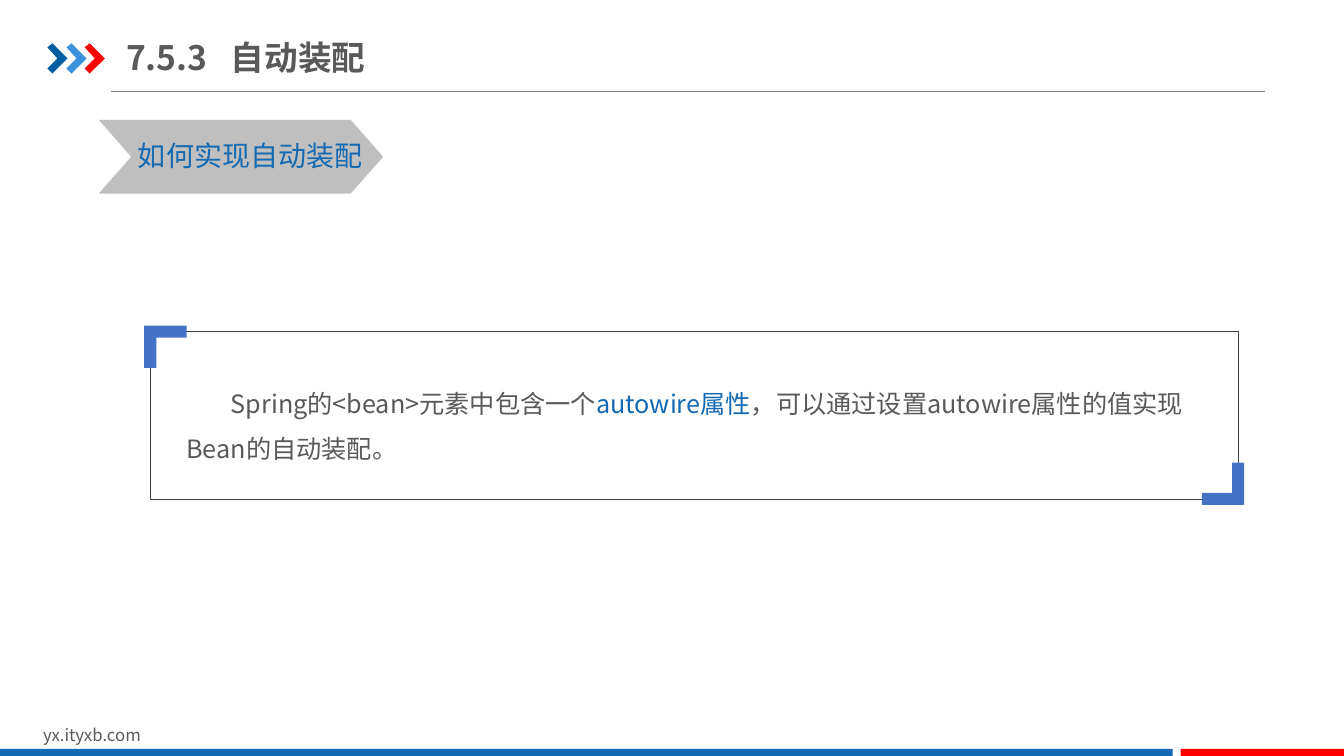
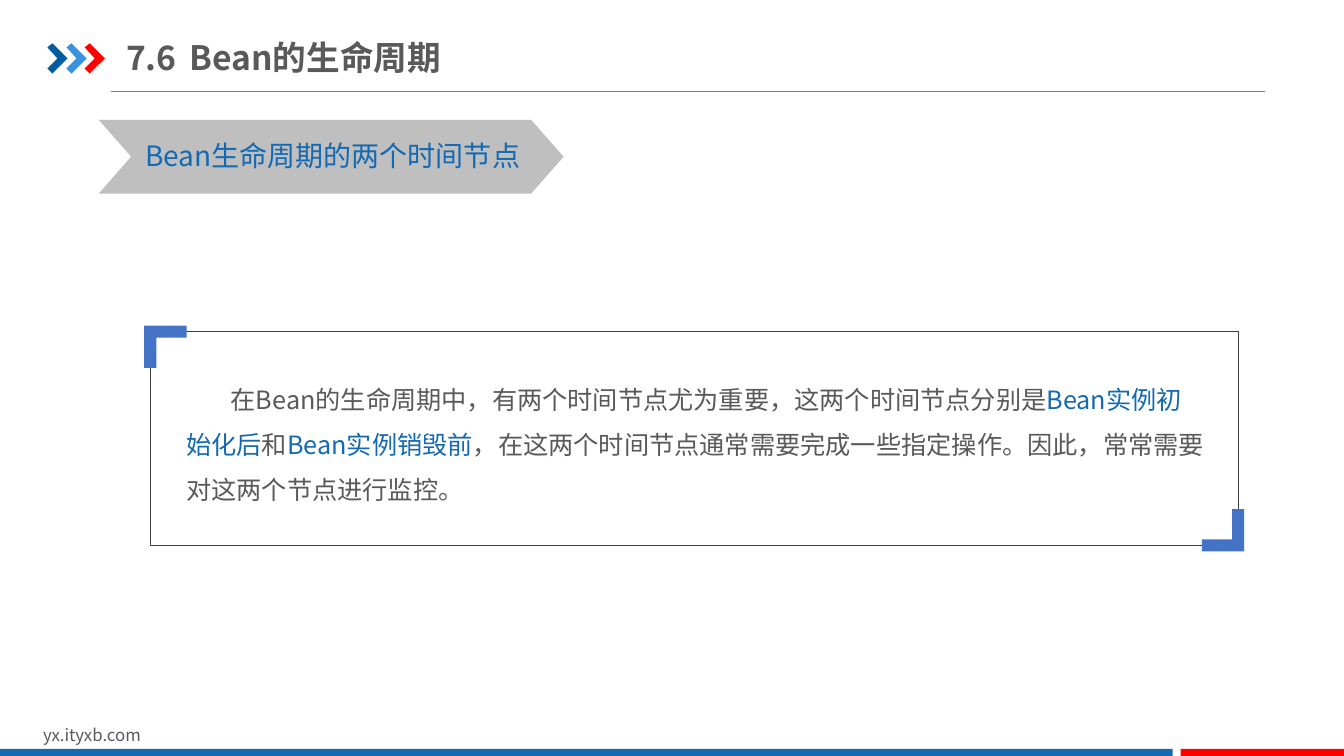
from lxml import etree
from pptx import Presentation
from pptx.dml.color import RGBColor
from pptx.enum.shapes import MSO_CONNECTOR, MSO_SHAPE
from pptx.enum.text import MSO_ANCHOR, MSO_AUTO_SIZE, PP_ALIGN
from pptx.oxml.ns import qn
from pptx.util import Inches, Pt

LEFT = PP_ALIGN.LEFT
TOP, MIDDLE = MSO_ANCHOR.TOP, MSO_ANCHOR.MIDDLE
FIXED = MSO_AUTO_SIZE.NONE
RECT, CHEVRON, CORNER = MSO_SHAPE.RECTANGLE, MSO_SHAPE.CHEVRON, MSO_SHAPE.CORNER
STRAIGHT = MSO_CONNECTOR.STRAIGHT

FONT = "Noto Sans CJK SC"
COLORS = {
    "text": "595959", "blue": "1369B2", "red": "FF0000", "navy": "005DA2",
    "sky": "3992DB", "tag": "BFBFBF", "corner": "4472C4", "rule": "808080",
    "frame": "404040",
}


def write(shape, parts, size, color="text", bold=False, wrap=True, anchor=TOP,
          inset=(0.1, 0.05), spacing=1.0, indent=0, tab=0):
    """Fill a shape with one paragraph; every second part is highlighted in blue."""
    frame = shape.text_frame
    frame.auto_size, frame.word_wrap = FIXED, wrap
    frame.vertical_anchor = anchor
    frame.margin_left = frame.margin_right = Inches(inset[0])
    frame.margin_top = frame.margin_bottom = Inches(inset[1])
    para = frame.paragraphs[0]
    para.alignment, para.line_spacing = LEFT, spacing
    props = para._p.get_or_add_pPr()
    if indent:
        props.set("indent", str(Inches(indent)))
    if tab:
        stops = etree.SubElement(props, qn("a:tabLst"))
        etree.SubElement(stops, qn("a:tab"), pos=str(Inches(tab)), algn="l")
    for i, part in enumerate(parts):
        run = para.add_run()
        run.text = part
        font = run.font
        font.name, font.size, font.bold = FONT, Pt(size), bold
        font.color.rgb = RGBColor.from_string(COLORS["blue" if i % 2 else color])
        etree.SubElement(run._r.get_or_add_rPr(), qn("a:ea"), typeface=FONT)


def paint(shape, fill=None, line=None):
    shape.shadow.inherit = False
    if fill:
        shape.fill.solid()
        shape.fill.fore_color.rgb = RGBColor.from_string(COLORS[fill])
    else:
        shape.fill.background()
    if line:
        shape.line.color.rgb = RGBColor.from_string(COLORS[line])
        shape.line.width = Pt(0.25)
    else:
        shape.line.fill.background()


deck = Presentation()
deck.slide_width, deck.slide_height = Inches(13.33), Inches(7.5)
layout = deck.slide_layouts[5]
head = layout.placeholders[0]
head.left, head.top = Inches(1.25), Inches(0.29)
head.width, head.height = Inches(11.3), Inches(0.55)

# Shared decoration: drawn on the first slide, then moved to the layout
first = deck.slides.add_slide(layout)
shapes = first.shapes
shared = []

rule = shapes.add_connector(STRAIGHT, Inches(1.1), Inches(0.91), Inches(12.55), Inches(0.91))
rule.line.color.rgb = RGBColor.from_string(COLORS["rule"])
rule.line.width = Pt(0.5)
etree.SubElement(rule._element.spPr, qn("a:effectLst"))
shared.append(rule)

ARROW = [(0, 0.04), (0.05, 0), (0.2, 0.15), (0.05, 0.3), (0, 0.25), (0.1, 0.15)]
for x, color in zip((0.47, 0.66, 0.84), ("navy", "sky", "red")):
    points = [(Inches(x + dx), Inches(0.43 + dy)) for dx, dy in ARROW]
    path = shapes.build_freeform(*points[0])
    path.add_line_segments(points[1:], close=True)
    arrow = path.convert_to_shape()
    paint(arrow, color)
    shared.append(arrow)

site = shapes.add_textbox(Inches(0.33), Inches(7.14), Inches(3.18), Inches(0.3))
write(site, ["yx.ityxb.com"], 12)
shared.append(site)

for x, width, color in ((0, 11.63, "blue"), (11.71, 1.62, "red")):
    band = shapes.add_shape(RECT, Inches(x), Inches(7.43), Inches(width), Inches(0.07))
    paint(band, color)
    shared.append(band)

for number, shape in enumerate(shared, 100):
    shape._element.xpath(".//p:cNvPr")[0].set("id", str(number))
    layout.shapes.element.append(shape._element)

PAGES = [
    dict(title="7.5.3\t自动装配", tab=1.04, tag="如何实现自动装配",
         tag_x=1.27, tag_w=2.82, body_y=3.65, frame_h=1.66,
         body=["Spring的<bean>元素中包含一个", "autowire属性",
               "，可以通过设置autowire属性的值实现Bean的自动装配。"]),
    dict(title="7.6\tBean的生命周期", tab=0.63, tag="Bean生命周期的两个时间节点",
         tag_x=1.34, tag_w=4.61, body_y=3.61, frame_h=2.12,
         body=["在Bean的生命周期中，有两个时间节点尤为重要，这两个时间节点分别是",
               "Bean实例初始化后", "和", "Bean实例销毁前",
               "，在这两个时间节点通常需要完成一些指定操作。因此，常常需要对这两个节点进行监控。"]),
]
FRAME_X, FRAME_Y, FRAME_W = 1.49, 3.29, 10.79
SIDE, THICK, OUT = 0.42, 0.12, 0.06

for page in PAGES:
    slide = first if page is PAGES[0] else deck.slides.add_slide(layout)
    shapes = slide.shapes
    write(shapes.title, [page["title"]], 24, bold=True, anchor=MIDDLE,
          inset=(0, 0.07), tab=page["tab"])

    tag = shapes.add_shape(CHEVRON, Inches(0.98), Inches(1.19),
                           Inches(page["tag_w"]), Inches(0.73))
    tag.adjustments[0] = 0.44
    paint(tag, "tag")
    label = shapes.add_textbox(Inches(page["tag_x"]), Inches(1.33),
                               Inches(page["tag_w"] - 0.4), Inches(0.44))
    write(label, [page["tag"]], 20, color="blue", wrap=False)

    height = page["frame_h"]
    body = shapes.add_textbox(Inches(1.75), Inches(page["body_y"]),
                              Inches(10.3), Inches(height - 0.6))
    write(body, page["body"], 18, spacing=1.5, indent=0.44)

    frame = shapes.add_shape(RECT, Inches(FRAME_X), Inches(FRAME_Y),
                             Inches(FRAME_W), Inches(height))
    paint(frame, line="frame")
    ends = ((FRAME_X - OUT, FRAME_Y - OUT, 90),
            (FRAME_X + FRAME_W + OUT - SIDE, FRAME_Y + height + OUT - SIDE, 270))
    for x, y, turn in ends:
        corner = shapes.add_shape(CORNER, Inches(x), Inches(y), Inches(SIDE), Inches(SIDE))
        corner.adjustments[0] = corner.adjustments[1] = THICK / SIDE
        corner.rotation = turn
        paint(corner, "corner")

deck.save("out.pptx")
